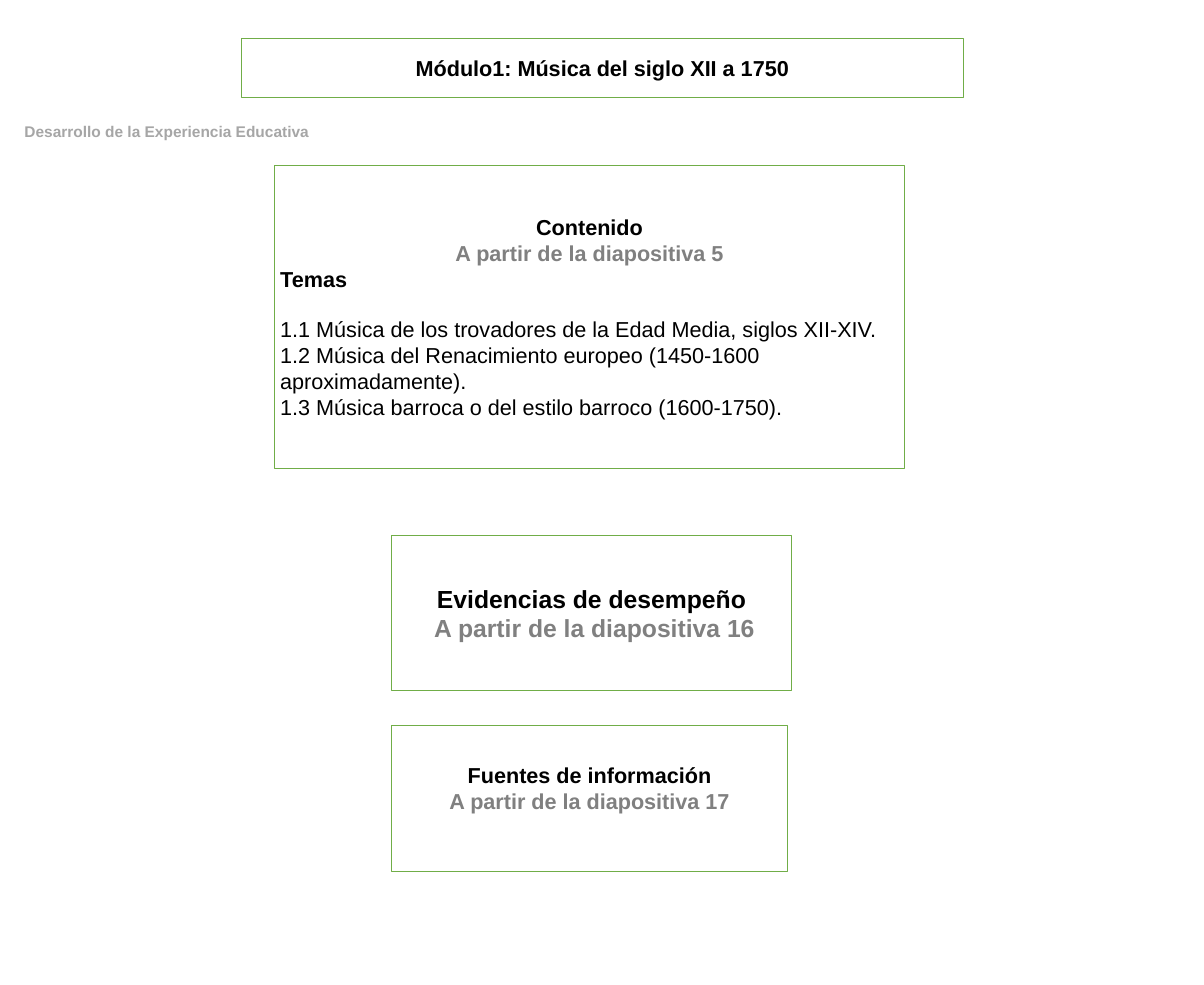
from pptx import Presentation
from pptx.dml.color import RGBColor
from pptx.enum.shapes import MSO_SHAPE
from pptx.enum.text import MSO_ANCHOR, MSO_AUTO_SIZE, PP_ALIGN
from pptx.util import Inches, Pt

RECTANGLE = MSO_SHAPE.RECTANGLE
MIDDLE = MSO_ANCHOR.MIDDLE
NO_AUTOFIT = MSO_AUTO_SIZE.NONE
LEFT, CENTER = PP_ALIGN.LEFT, PP_ALIGN.CENTER

BLACK = RGBColor(0x00, 0x00, 0x00)
WHITE = RGBColor(0xFF, 0xFF, 0xFF)
GREEN = RGBColor(0x70, 0xAD, 0x47)
GRAY = RGBColor(0x80, 0x80, 0x80)
LIGHT_GRAY = RGBColor(0xA6, 0xA6, 0xA6)

MODULE = "Módulo1: Música del siglo XII a 1750"
MODULE_AREA = (4.34, 0.69, 12.98, 1.07)
SUBTITLE = "Desarrollo de la Experiencia Educativa"
SUBTITLE_AREA = (-0.37, 2.12, 6.74, 0.5)
THEMES_HEADING = "Temas"
THEMES = [
    "1.1 Música de los trovadores de la Edad Media, siglos XII-XIV.",
    "1.2 Música del Renacimiento europeo (1450-1600 aproximadamente).",
    "1.3 Música barroca o del estilo barroco (1600-1750).",
]
SECTIONS = [
    {"heading": "Contenido", "pointer": "A partir de la diapositiva 5",
     "area": (4.94, 2.97, 11.32, 5.46), "size": 28, "bottom": 0.05, "themes": THEMES},
    {"heading": "Evidencias de desempeño", "pointer": " A partir de la diapositiva 16",
     "area": (7.04, 9.64, 7.2, 2.78), "size": 32, "bottom": 0.05, "themes": []},
    {"heading": "Fuentes de información", "pointer": "A partir de la diapositiva 17",
     "area": (7.04, 13.05, 7.12, 2.63), "size": 28, "bottom": 0.43, "themes": []},
]


def write(frame, text, size=28, color=BLACK, bold=True, align=CENTER, after=0):
    first = frame.paragraphs[0]
    paragraph = frame.add_paragraph() if first.runs else first
    paragraph.alignment = align
    paragraph.space_after = Pt(after)
    run = paragraph.add_run()
    run.text = text
    run.font.name = "Arial"
    run.font.size = Pt(size)
    run.font.bold = bold
    run.font.color.rgb = color


def prepare(frame, bottom=0.05):
    frame.word_wrap = True
    frame.auto_size = NO_AUTOFIT
    frame.vertical_anchor = MIDDLE
    frame.margin_bottom = Inches(bottom)
    return frame


def outline(box):
    box.fill.solid()
    box.fill.fore_color.rgb = WHITE
    box.line.color.rgb = GREEN
    box.line.width = Pt(1)


def add_section(slide, section):
    box = slide.shapes.add_shape(RECTANGLE, *map(Inches, section["area"]))
    box.shadow.inherit = False
    outline(box)
    frame = prepare(box.text_frame, section["bottom"])
    write(frame, section["heading"], size=section["size"])
    write(frame, section["pointer"], size=section["size"], color=GRAY)
    if section["themes"]:
        write(frame, THEMES_HEADING, align=LEFT, after=32)
    for theme in section["themes"]:
        write(frame, theme, bold=False, align=LEFT)


def main():
    prs = Presentation()
    prs.slide_width, prs.slide_height = Inches(21.65), Inches(17.72)
    slide = prs.slides.add_slide(prs.slide_layouts[5])

    module = slide.shapes.title
    module.left, module.top, module.width, module.height = map(Inches, MODULE_AREA)
    outline(module)
    write(prepare(module.text_frame), MODULE)

    subtitle = slide.shapes.add_textbox(*map(Inches, SUBTITLE_AREA))
    write(prepare(subtitle.text_frame), SUBTITLE, size=20, color=LIGHT_GRAY)

    for section in SECTIONS:
        add_section(slide, section)

    prs.save("out.pptx")


if __name__ == "__main__":
    main()
